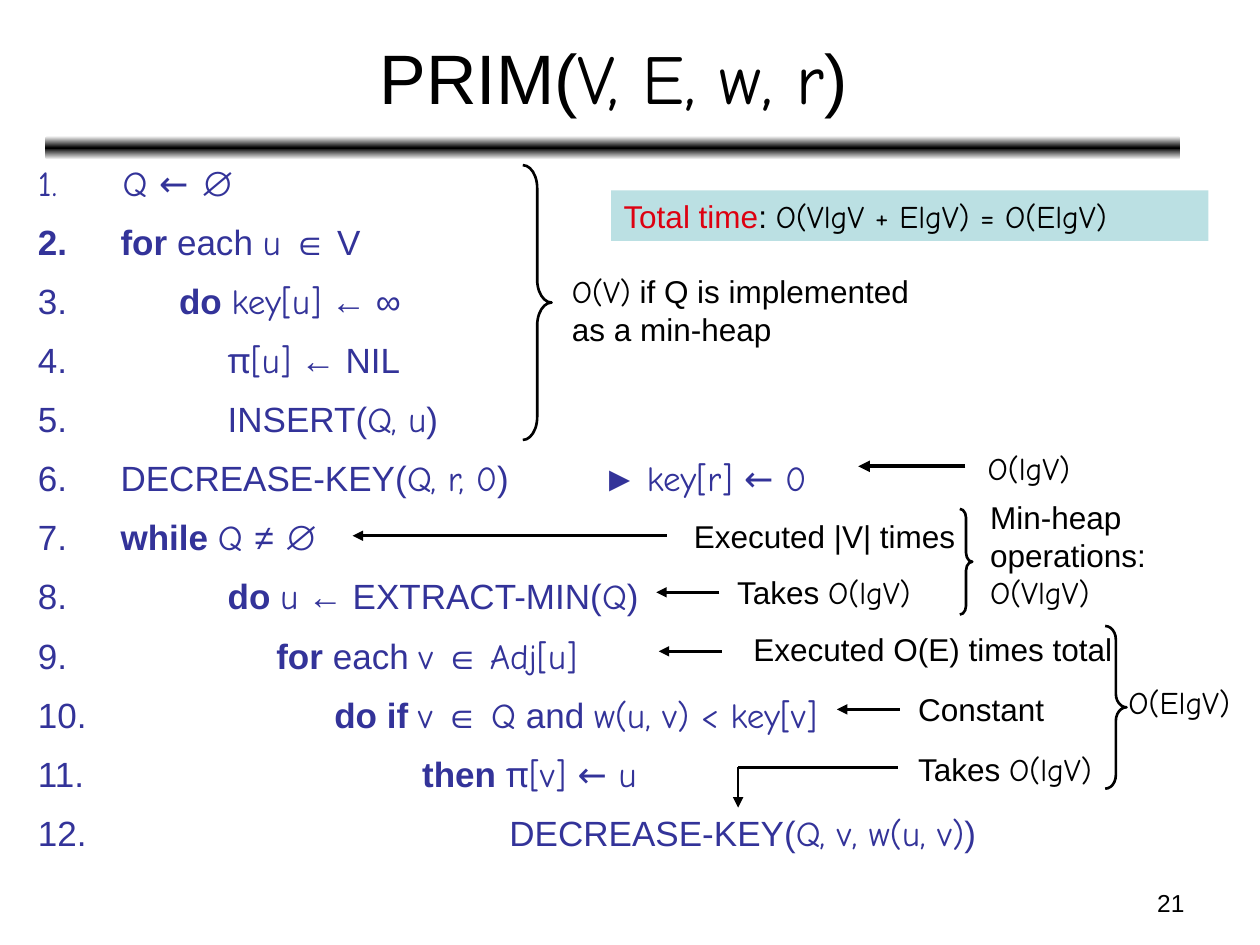
from dataclasses import dataclass
from lxml.etree import SubElement as Sub
from pptx import Presentation
from pptx.dml.color import RGBColor as Rgb
from pptx.enum.shapes import MSO_CONNECTOR as Link, MSO_SHAPE as Kind
from pptx.enum.text import MSO_ANCHOR as Anchor, MSO_AUTO_SIZE as Auto, PP_ALIGN as Align
from pptx.oxml.ns import qn
from pptx.util import Cm, Pt


@dataclass(frozen=True)
class Theme:
    sans: str = "Arial"
    hand: str = "Comic Neue"
    ink: str = "000000"
    code: str = "333399"
    red: str = "DD0111"
    pale: str = "BBE0E3"
    white: str = "FFFFFF"
    title: int = 40
    list: int = 20
    note: int = 18
    page: int = 14
    line: float = 1.5
    thick: float = 2.25


T = Theme()
CODE = [
    (1.47, "~ Q ← ~∅"),
    (1.47, "* for *each ~u ~∈ V"),
    (2.65, " *do *~key[u]~ ← ∞"),
    (3.63, " ~π[u]~ ← NIL"),
    (3.63, " INSERT(~Q, u~)"),
    (1.47, " DECREASE-KEY(~Q, r, 0~)\t► ~key[r] ← 0~"),
    (1.47, " *while *~Q ~≠ ∅"),
    (3.63, " *do *~u~ ← EXTRACT-MIN(~Q~)"),
    (4.61, " *for *each ~v ~∈ ~Adj[u]~"),
    (5.78, " *do if *~v ~∈~ Q~ and ~w(u, v) < key[v]~"),
    (7.55, " *then *~π[v] ← u~"),
    (9.31, " DECREASE-KEY(~Q, v, w(u, v)~)"),
]


def put(obj, vals):
    for key, val in vals.items():
        setattr(obj, key, val)


def place(box, x, y, w, h):
    return Cm(box[0] + x), Cm(box[1] + y), Cm(w), Cm(h)


def write(para, text, size, color):
    for i, tint in enumerate(text.split("^")):
        for j, face in enumerate(tint.split("~")):
            for k, bit in enumerate(face.split("*")):
                if bit:
                    run = para.add_run()
                    run.text = bit
                    put(run.font, {"size": Pt(size), "bold": k % 2 == 1,
                                   "name": T.hand if j % 2 else T.sans})
                    run.font.color.rgb = Rgb.from_string(T.red if i % 2 else color)


def note(slide, box, x, y, w, h, *lines, size=T.note, align=Align.LEFT, fill=None):
    shape = slide.shapes.add_textbox(*place(box, x, y, w, h))
    if fill:
        shape.fill.solid()
        shape.fill.fore_color.rgb = Rgb.from_string(fill)
    frame = shape.text_frame
    put(frame, {"word_wrap": True, "auto_size": Auto.NONE})
    for i, text in enumerate(lines):
        para = frame.add_paragraph() if i else frame.paragraphs[0]
        para.alignment = align
        write(para, text, size, T.ink)


def brace(slide, box, x, y, w, h):
    shape = slide.shapes.add_shape(Kind.RIGHT_BRACE, *place(box, x, y, w, h))
    shape.adjustments[0] = h / 12 / w
    shape.shadow.inherit = False
    shape.fill.background()
    shape.line.color.rgb = Rgb.from_string(T.ink)
    shape.line.width = Pt(T.line)


def arrow(slide, box, x, y, dx, dy=0, width=T.line, head=True):
    ends = box[0] + x, box[1] + y, box[0] + x + dx, box[1] + y + dy
    link = slide.shapes.add_connector(Link.STRAIGHT, *map(Cm, ends))
    link.line.color.rgb = Rgb.from_string(T.ink)
    link.line.width = Pt(width)
    if head:
        Sub(link.line._get_or_add_ln(), qn("a:tailEnd"), type="triangle")
    Sub(link._element.spPr, qn("a:effectLst"))


def head(slide, box):
    bar = slide.shapes.add_shape(Kind.ROUNDED_RECTANGLE, *place(box, -0.03, 2.46, 22.89, 0.48))
    bar.shadow.inherit = False
    bar.line.fill.background()
    bar.fill.gradient()
    bar.fill.gradient_angle = 90
    stops = bar._element.spPr.find(qn("a:gradFill")).find(qn("a:gsLst"))
    for stop in list(stops):
        stops.remove(stop)
    for pos, color in ((0, T.white), (50000, T.ink), (100000, T.white)):
        stop = Sub(stops, qn("a:gs"), pos=str(pos))
        Sub(stop, qn("a:srgbClr"), val=color)
    title = slide.shapes.title
    put(title, dict(zip(("left", "top", "width", "height"), place(box, 0, 0, 22.86, 2.51))))
    put(title.text_frame, {"vertical_anchor": Anchor.MIDDLE, "auto_size": Auto.NONE})
    para = title.text_frame.paragraphs[0]
    para.alignment = Align.CENTER
    write(para, "PRIM(~V, E, w, r~)", T.title, T.ink)


def code(slide, box):
    body = slide.placeholders[1]
    put(body, dict(zip(("left", "top", "width", "height"), place(box, 0, 0, 23.55, 15.54))))
    frame = body.text_frame
    frame.auto_size = Auto.NONE
    for i, (left, text) in enumerate(CODE):
        para = frame.add_paragraph() if i else frame.paragraphs[0]
        put(para, {"line_spacing": 1.2, "space_before": Pt(5), "alignment": Align.LEFT})
        props = para._p.get_or_add_pPr()
        props.set("marL", str(Cm(left)))
        props.set("indent", str(-Cm(left)))
        Sub(Sub(props, qn("a:buClr")), qn("a:srgbClr"), val=T.code)
        Sub(props, qn("a:buFont"), typeface=T.hand if text[0] == "~" else T.sans)
        Sub(props, qn("a:buAutoNum"), type="arabicPeriod")
        if "\t" in text:
            Sub(Sub(props, qn("a:tabLst")), qn("a:tab"), pos=str(Cm(11.38)), algn="l")
        write(para, text, T.list, T.code)


def setup(slide, box):
    brace(slide, box, 0, 0, 0.58, 5.54)
    note(slide, box, 0.74, 2.03, 7.98, 1.78, "~O(V)~ if Q is implemented as a min-heap")
    note(slide, box, 1.78, 0.51, 12.04, 1.02,
         "^Total time^: ~O(VlgV + ElgV) = O(ElgV)~", fill=T.pale)


def loop(slide, box):
    note(slide, box, 12.55, 0, 3.05, 1.02, "~O(lgV)~")
    arrow(slide, box, 12.35, 0.48, -2.16, width=T.thick)
    note(slide, box, 6.63, 1.37, 5.97, 1.02, "Executed |V| times")
    arrow(slide, box, 6.33, 1.88, -6.33)
    note(slide, box, 7.5, 2.51, 4.52, 1.02, "Takes ~O(lgV)~")
    arrow(slide, box, 7.39, 3.02, -1.27)
    note(slide, box, 12.6, 0.99, 4.57, 2.54, "Min-heap operations:", "~O(VlgV)~")
    brace(slide, box, 12.24, 1.34, 0.25, 2.13)


def edges(slide, box):
    note(slide, box, 1.66, 0, 7.77, 1.02, "Executed O(E) times total")
    arrow(slide, box, 1.27, 0.56, -1.27)
    note(slide, box, 4.98, 1.22, 3.25, 1.02, "Constant")
    arrow(slide, box, 4.86, 1.73, -1.27)
    note(slide, box, 4.98, 2.42, 4.52, 1.02, "Takes ~O(lgV)~")
    arrow(slide, box, 1.6, 2.9, 3.23, head=False)
    arrow(slide, box, 1.6, 2.9, 0, 0.81)
    note(slide, box, 9.22, 1.07, 2.9, 1.02, "~O(ElgV)~")
    brace(slide, box, 9, 0.05, 0.43, 3.28)


def main():
    deck = Presentation()
    put(deck, {"slide_width": Cm(25.4), "slide_height": Cm(19.05)})
    slide = deck.slides.add_slide(deck.slide_layouts[1])
    head(slide, (0.94, 0.28))
    code(slide, (0.51, 2.95))
    setup(slide, (10.54, 3.33))
    loop(slide, (7.11, 8.92))
    edges(slide, (13.28, 12.57))
    note(slide, (18.21, 17.78), 0, 0, 5.92, 0.89, "21", size=T.page, align=Align.RIGHT)
    deck.save("out.pptx")


main()
